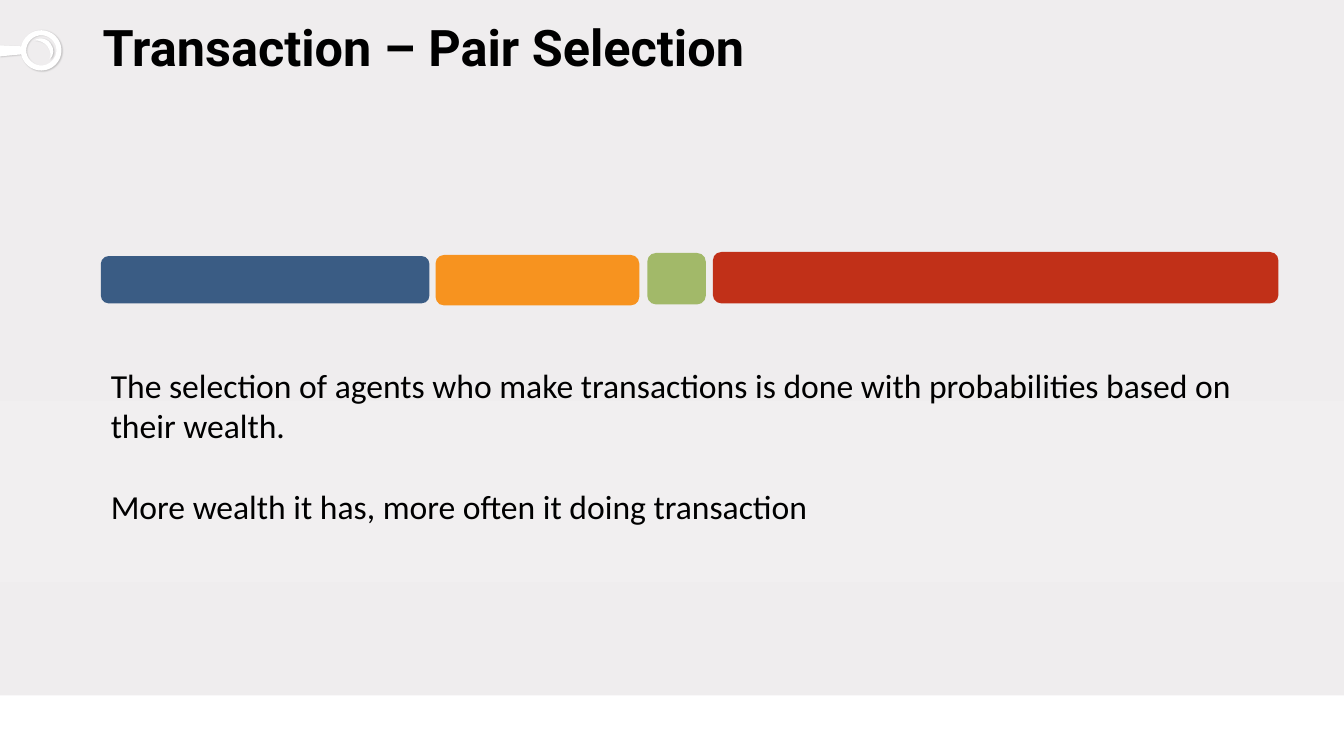
from lxml import etree
from pptx import Presentation
from pptx.dml.color import RGBColor
from pptx.enum.shapes import MSO_SHAPE as SHAPE
from pptx.enum.text import MSO_ANCHOR as ANCHOR
from pptx.oxml import parse_xml
from pptx.oxml.ns import nsdecls, qn
from pptx.util import Inches, Pt

BLACK = RGBColor(0x00, 0x00, 0x00)
WHITE = RGBColor(0xFF, 0xFF, 0xFF)
GRAY = RGBColor(0x80, 0x80, 0x80)
BLUE = RGBColor(0x3A, 0x5C, 0x84)
ORANGE = RGBColor(0xF7, 0x93, 0x1F)
GREEN = RGBColor(0xA2, 0xB9, 0x69)
RED = RGBColor(0xC1, 0x30, 0x18)
BACKDROP = [
    (0, RGBColor(0xEF, 0xED, 0xEE)),
    (53, RGBColor(0xF1, 0xEF, 0xF0)),
    (77, RGBColor(0xEF, 0xED, 0xEE)),
    (100, RGBColor(0xEF, 0xEB, 0xEC)),
]

# Outlines in hundredths of an inch: a start point, then line ends (x, y)
# or curves (two control points and the end)
CRESCENT = [
    (40, 38), (44, 38, 48, 40, 50, 43), (54, 48, 54, 55, 49, 59),
    (51, 55, 50, 50, 47, 46), (44, 42, 39, 40, 34, 40), (36, 39, 38, 38, 40, 38),
]
HOLE = [
    (41, 35), (33, 35, 26, 42, 26, 50), (26, 58, 33, 65, 41, 65),
    (49, 65, 56, 58, 56, 50), (56, 42, 49, 35, 41, 35),
]
RIM = [
    (41, 30), (52, 30, 61, 39, 61, 50), (61, 61, 52, 70, 41, 70),
    (31, 70, 23, 63, 21, 54), (0, 56), (0, 45), (21, 46),
    (23, 37, 31, 30, 41, 30),
]


class SlideBuilder:
    title_font = "Roboto"
    body_font = "Calibri"

    def __init__(self, slide):
        self.s = slide

    def background(self, stops):
        fill = self.s.background.fill
        fill.gradient()
        fill.gradient_angle = 270
        gs_list = self.s.element.find(".//" + qn("a:gsLst"))
        for gs in list(gs_list):
            gs_list.remove(gs)
        for percent, color in stops:
            gs = etree.SubElement(gs_list, qn("a:gs"), pos=str(percent * 1000))
            etree.SubElement(gs, qn("a:srgbClr"), val=str(color))

    def paint(self, sp, color):
        sp.shadow.inherit = False
        sp.fill.solid()
        sp.fill.fore_color.rgb = color
        sp.line.fill.background()
        return sp

    def box(self, kind, x, y, w, h, color):
        sp = self.s.shapes.add_shape(kind, Inches(x), Inches(y), Inches(w), Inches(h))
        return self.paint(sp, color)

    def outline(self, contours, color):
        fb = self.s.shapes.build_freeform(*contours[0][0], scale=Inches(0.01))
        for i, (start, *steps) in enumerate(contours):
            if i:
                fb.move_to(*start)
            fb.add_line_segments([step[-2:] for step in steps], close=True)
        sp = fb.convert_to_shape()

        # Turn the straight steps that have control points into curves
        all_steps = [step for contour in contours for step in contour[1:]]
        left = min(point[-2] for contour in contours for point in contour)
        top = min(point[-1] for contour in contours for point in contour)
        lines = list(sp._element.iter(qn("a:lnTo")))
        for line, step in zip(lines, all_steps):
            if len(step) == 6:
                curve = etree.Element(qn("a:cubicBezTo"))
                for x, y in zip(step[::2], step[1::2]):
                    etree.SubElement(curve, qn("a:pt"), x=str(x - left), y=str(y - top))
                line.getparent().replace(line, curve)
        return self.paint(sp, color)

    def drop_shadow(self, sp, color):
        effects = sp._element.spPr.find(qn("a:effectLst"))
        effects.append(parse_xml(
            f'<a:outerShdw {nsdecls("a")} blurRad="12700" dist="12700" dir="2700000">'
            f'<a:srgbClr val="{color}"><a:alpha val="40000"/></a:srgbClr>'
            '</a:outerShdw>'))

    def text(self, x, y, w, h, paragraphs, font, size, bold=False,
             right_inset=0.1, line_spacing=None, gap=0):
        box = self.s.shapes.add_textbox(Inches(x), Inches(y), Inches(w), Inches(h))
        tf = box.text_frame
        tf.word_wrap = True
        tf.vertical_anchor = ANCHOR.TOP
        tf.margin_right = Inches(right_inset)
        for i, wording in enumerate(paragraphs):
            p = tf.add_paragraph() if i else tf.paragraphs[0]
            if i:
                p.space_before = Pt(gap)
            if line_spacing:
                p.line_spacing = line_spacing
            r = p.add_run()
            r.text = wording
            r.font.name = font
            r.font.size = Pt(size)
            r.font.bold = bold
            r.font.color.rgb = BLACK


def main():
    prs = Presentation()
    prs.slide_width, prs.slide_height = Inches(13.33), Inches(7.5)
    b = SlideBuilder(prs.slides.add_slide(prs.slide_layouts[6]))

    # Backdrop and footer band
    b.background(BACKDROP)
    b.box(SHAPE.RECTANGLE, 0, 6.9, 13.33, 0.6, WHITE)

    # Ring with a handle from the left edge, and a crescent inside it
    ring = b.outline([CRESCENT, HOLE, RIM], WHITE)
    b.drop_shadow(ring, GRAY)

    # Title
    b.text(0.92, 0.18, 11.5, 0.81, ["Transaction – Pair Selection"],
           b.title_font, 36, bold=True, right_inset=0, line_spacing=0.9)

    # Wealth bars: left, top, width, height, colour
    wealth_bars = [
        (1, 2.54, 3.26, 0.47, BLUE),
        (4.32, 2.53, 2.02, 0.5, ORANGE),
        (6.42, 2.51, 0.58, 0.51, GREEN),
        (7.07, 2.5, 5.61, 0.51, RED),
    ]
    for bar in wealth_bars:
        b.box(SHAPE.ROUNDED_RECTANGLE, *bar)

    # Explanation
    b.text(1, 3.57, 11.69, 2.61, [
        "The selection of agents who make transactions is done with "
        "probabilities based on their wealth.",
        "More wealth it has, more often it doing transaction",
    ], b.body_font, 24, gap=29)

    prs.save("out.pptx")


if __name__ == "__main__":
    main()
